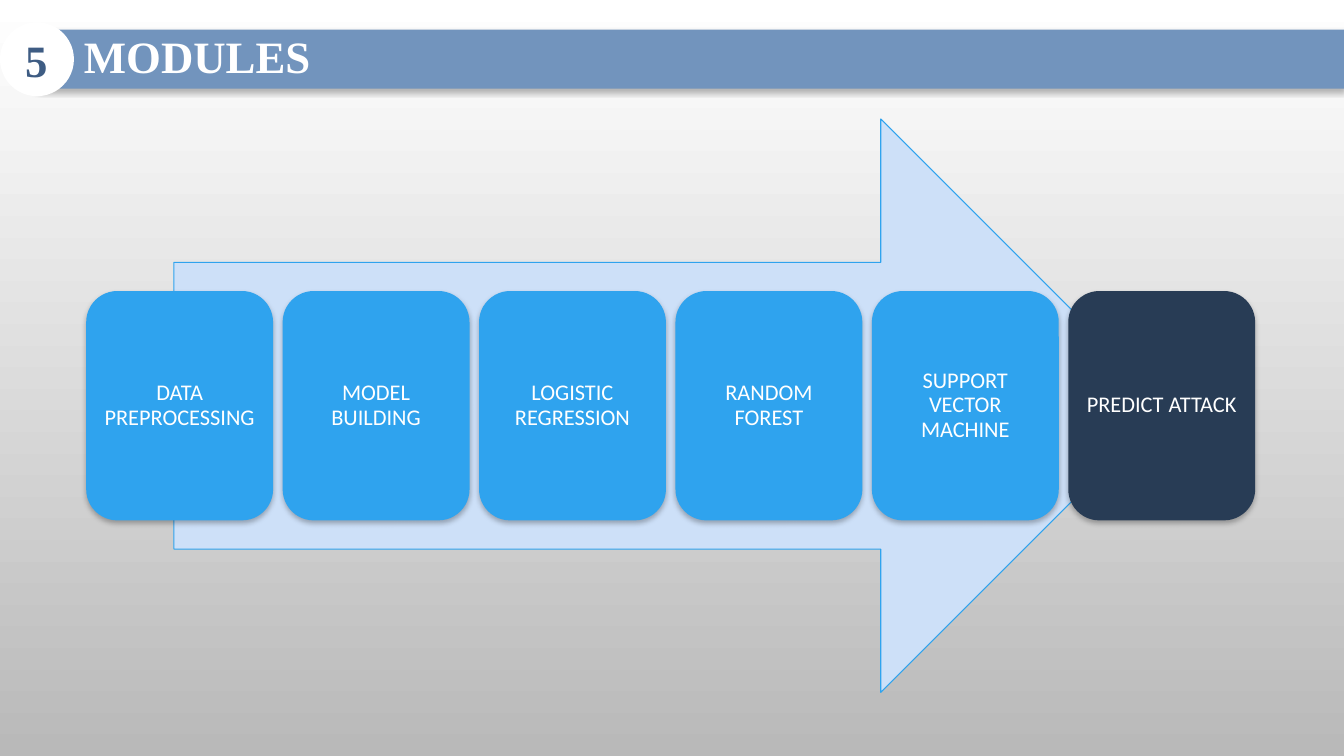
from lxml import etree
from pptx import Presentation
from pptx.dml.color import RGBColor
from pptx.enum.shapes import MSO_SHAPE
from pptx.enum.text import MSO_ANCHOR, PP_ALIGN
from pptx.oxml import parse_xml
from pptx.util import Pt

RECTANGLE = MSO_SHAPE.RECTANGLE
OVAL = MSO_SHAPE.OVAL
RIGHT_ARROW = MSO_SHAPE.RIGHT_ARROW
ROUNDED = MSO_SHAPE.ROUNDED_RECTANGLE
MIDDLE, TOP = MSO_ANCHOR.MIDDLE, MSO_ANCHOR.TOP
LEFT, CENTER = PP_ALIGN.LEFT, PP_ALIGN.CENTER

WIDTH, HEIGHT = 960, 540
SERIF, SANS = "Times New Roman", "Calibri"
WHITE, BLUE, NAVY = "FFFFFF", "2FA3EE", "283C55"
MODULES = [
    "DATA PREPROCESSING",
    "MODEL BUILDING",
    "LOGISTIC REGRESSION",
    "RANDOM FOREST",
    "SUPPORT VECTOR MACHINE",
    "PREDICT ATTACK",
]
SHADOW = (
    '<a:effectLst xmlns:a="http://schemas.openxmlformats.org/drawingml/2006/main">'
    '<a:outerShdw blurRad="50800" dist="25400" dir="5400000" rotWithShape="0">'
    '<a:srgbClr val="000000"><a:alpha val="28000"/></a:srgbClr>'
    "</a:outerShdw></a:effectLst>"
)


def rgb(value):
    return RGBColor.from_string(value)


def add_block(slide, preset, box, fill, line=None, shadow=False):
    block = slide.shapes.add_shape(preset, *map(Pt, box))
    block.fill.solid()
    block.fill.fore_color.rgb = rgb(fill)
    if line:
        block.line.color.rgb = rgb(line)
        block.line.width = Pt(0.75)
    else:
        block.line.fill.background()
    block.shadow.inherit = False
    if shadow:
        properties = block.element.spPr
        empty_effects = properties.find("{*}effectLst")
        properties.replace(empty_effects, parse_xml(etree.tostring(etree.fromstring(SHADOW))))
    return block


def write(holder, text, size, face, color, bold=False, align=LEFT,
          anchor=MIDDLE, insets=(0, 0, 0, 0), spacing=0.9):
    frame = holder.text_frame
    frame.word_wrap = True
    frame.vertical_anchor = anchor
    (frame.margin_left, frame.margin_top,
     frame.margin_right, frame.margin_bottom) = map(Pt, insets)
    paragraph = frame.paragraphs[0]
    paragraph.alignment = align
    paragraph.line_spacing = spacing
    run = paragraph.add_run()
    run.text = text
    run.font.size = Pt(size)
    run.font.name = face
    run.font.bold = bold
    run.font.color.rgb = rgb(color)


def paint_background(slide):
    fill = slide.background.fill
    fill.gradient()
    fill.gradient_angle = 270
    for stop, position, color in zip(fill.gradient_stops, (0, 1), (WHITE, "B9B9B9")):
        stop.position = position
        stop.color.rgb = rgb(color)


def add_header(slide, left, top, width, number, title):
    badge_size = 52.8
    bar_left = left + badge_size / 2
    bar = add_block(slide, RECTANGLE, (bar_left, top + 5.3, width - badge_size / 2, 42.2),
                    "7294BD", shadow=True)
    write(bar, title, 32, SERIF, WHITE, bold=True, insets=(33.5, 6.5, 6.5, 6.5))
    add_block(slide, OVAL, (left, top, badge_size, badge_size), WHITE)
    digit = slide.shapes.add_textbox(Pt(left + 18), Pt(top + 7.2), Pt(19), Pt(38.8))
    write(digit, number, 32, SERIF, "3E5C83", bold=True, anchor=TOP, spacing=1.0)


def add_process(slide, left, top, width, height, modules):
    arrow_width = width * 0.85
    add_block(slide, RIGHT_ARROW,
              (left + (width - arrow_width) / 2, top, arrow_width, height),
              "CDE0F8", line=BLUE)
    gap = 6.8
    card_width = (width - gap * (len(modules) - 1)) / len(modules)
    card_height = height * 0.4
    card_top = top + (height - card_height) / 2
    for index, module in enumerate(modules):
        color = NAVY if index == len(modules) - 1 else BLUE
        card = add_block(slide, ROUNDED,
                         (left + index * (card_width + gap), card_top, card_width, card_height),
                         color, shadow=True)
        write(card, module, 16, SANS, WHITE, align=CENTER, insets=(4.8,) * 4)


def main():
    deck = Presentation()
    deck.slide_width, deck.slide_height = Pt(WIDTH), Pt(HEIGHT)
    slide = deck.slides.add_slide(deck.slide_layouts[6])
    paint_background(slide)
    add_header(slide, 0, 15.9, WIDTH, "5", "MODULES")
    add_process(slide, 61.6, 85, 835, 409.6, MODULES)
    deck.save("out.pptx")


if __name__ == "__main__":
    main()
